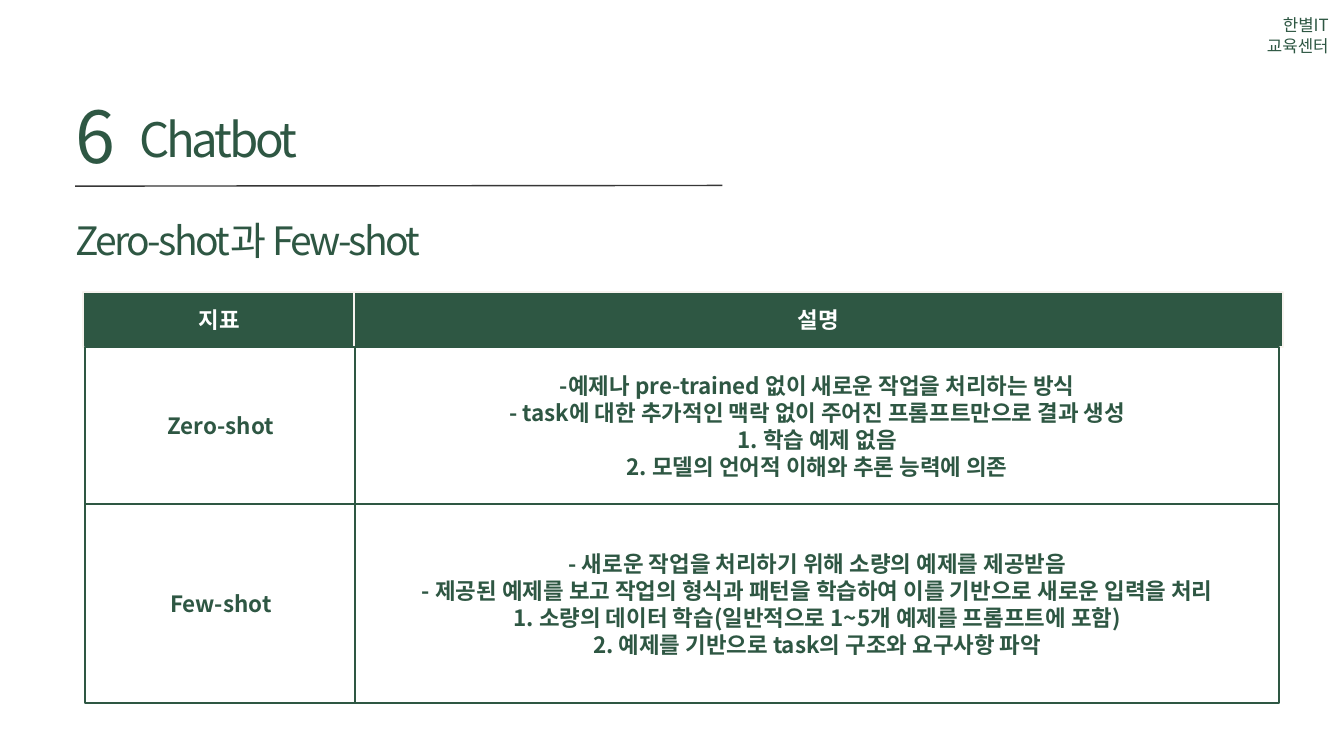
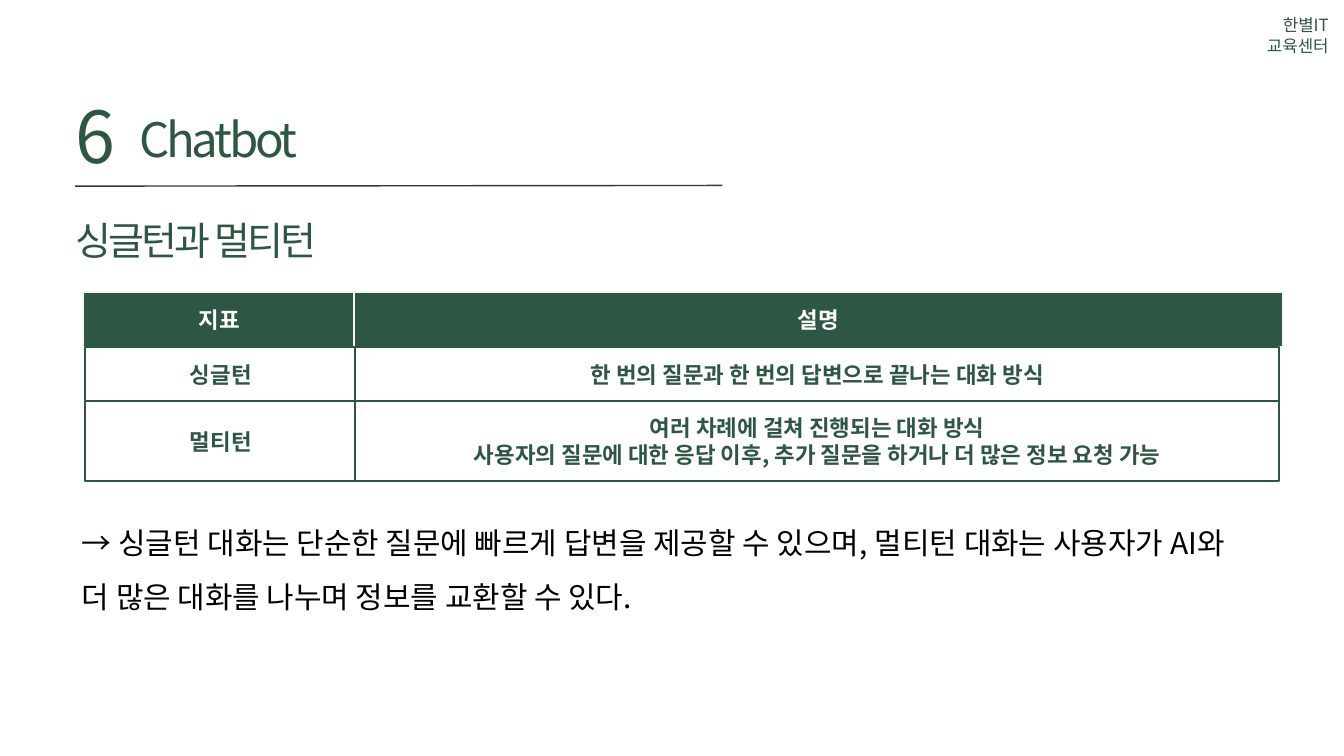
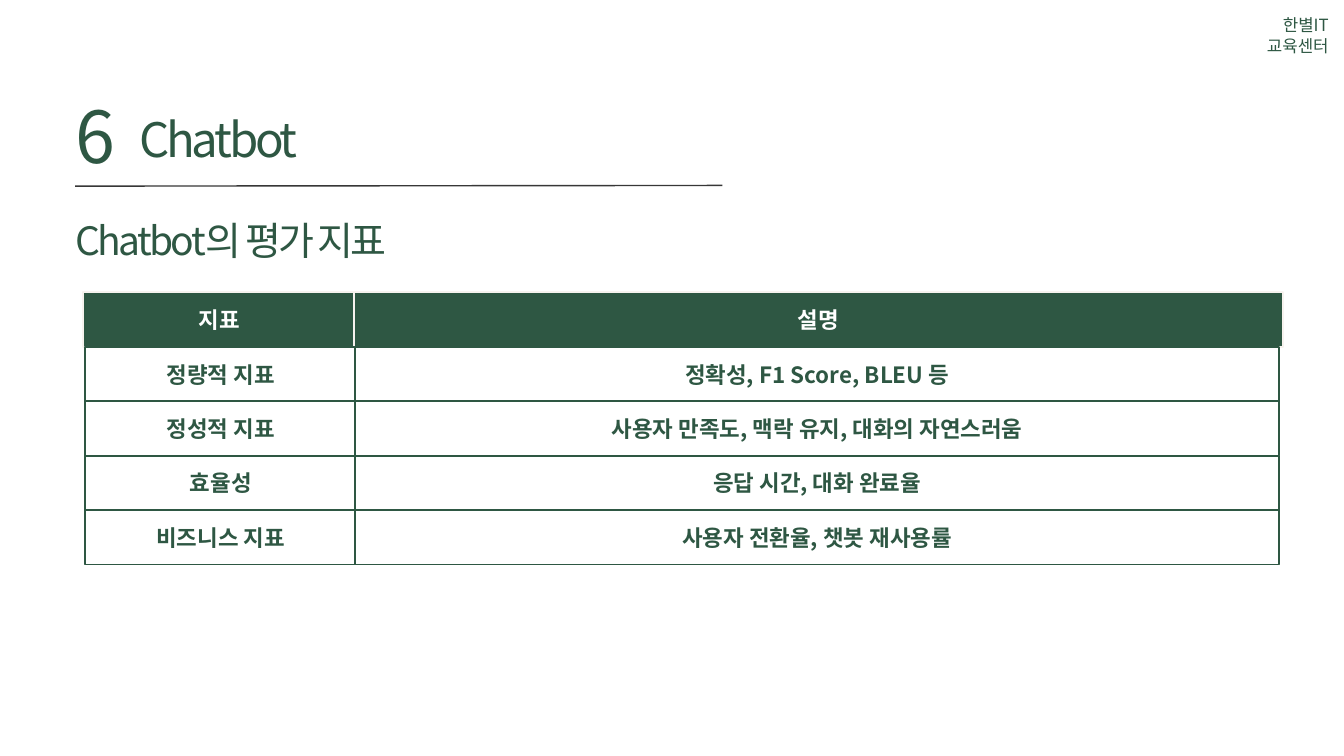
"""Builds three chatbot lesson slides, each with a heading and a two-column grid."""

from lxml import etree
from pptx import Presentation
from pptx.dml.color import RGBColor
from pptx.enum.shapes import MSO_CONNECTOR, MSO_SHAPE
from pptx.enum.text import MSO_ANCHOR, MSO_AUTO_SIZE, PP_ALIGN
from pptx.oxml.ns import qn
from pptx.util import Inches, Pt

STRAIGHT = MSO_CONNECTOR.STRAIGHT
RECTANGLE = MSO_SHAPE.RECTANGLE
MIDDLE = MSO_ANCHOR.MIDDLE
GROW = MSO_AUTO_SIZE.SHAPE_TO_FIT_TEXT
LEFT, CENTER, RIGHT = PP_ALIGN.LEFT, PP_ALIGN.CENTER, PP_ALIGN.RIGHT

GREEN = RGBColor(0x2E, 0x57, 0x43)
CREAM = RGBColor(0xF7, 0xF3, 0xEF)
GRAY = RGBColor(0x37, 0x37, 0x37)
WHITE = RGBColor(0xFF, 0xFF, 0xFF)
BLACK = RGBColor(0x00, 0x00, 0x00)
FONT = "Noto Sans CJK KR"

WIDTH, HEIGHT = Inches(20), Inches(11.25)
COLUMN, ROW = WIDTH / 100, HEIGHT / 100
MARGIN = 5.6
GRID_TOP = 38.67
LINE_ROWS = 7.2
HEADER_COLUMNS = ((6.2, 20.25), (26.35, 69.1))
BODY_COLUMNS = ((6.35, 20.15), (26.4, 68.8))

HEADINGS = [
    ("Chatbot", (10.35, 13.33, 34.45, 8.8), 50.8, 71.1, -3.4),
    ("6", (MARGIN, 10.31, 3.95, 13.24), 76.8, 107.5, -5.1),
]
GRID_HEADER = (LINE_ROWS, "지표", "설명")
LESSONS = [
    ("Zero-shot과 Few-shot", [
        (20.85, "Zero-shot",
         "-예제나 pre-trained 없이 새로운 작업을 처리하는 방식\n"
         "- task에 대한 추가적인 맥락 없이 주어진 프롬프트만으로 결과 생성\n"
         "1. 학습 예제 없음\n"
         "2. 모델의 언어적 이해와 추론 능력에 의존"),
        (26.31, "Few-shot",
         "- 새로운 작업을 처리하기 위해 소량의 예제를 제공받음\n"
         "- 제공된 예제를 보고 작업의 형식과 패턴을 학습하여 이를 기반으로 새로운 입력을 처리\n"
         "1. 소량의 데이터 학습(일반적으로 1~5개 예제를 프롬프트에 포함)\n"
         "2. 예제를 기반으로 task의 구조와 요구사항 파악"),
    ], ""),
    ("싱글턴과 멀티턴", [
        (LINE_ROWS, "싱글턴", "한 번의 질문과 한 번의 답변으로 끝나는 대화 방식"),
        (10.58, "멀티턴",
         "여러 차례에 걸쳐 진행되는 대화 방식\n"
         "사용자의 질문에 대한 응답 이후, 추가 질문을 하거나 더 많은 정보 요청 가능"),
    ], "→ 싱글턴 대화는 단순한 질문에 빠르게 답변을 제공할 수 있으며, "
       "멀티턴 대화는 사용자가 AI와 더 많은 대화를 나누며 정보를 교환할 수 있다."),
    ("Chatbot의 평가 지표", [
        (LINE_ROWS, "정량적 지표", "정확성, F1 Score, BLEU 등"),
        (LINE_ROWS, "정성적 지표", "사용자 만족도, 맥락 유지, 대화의 자연스러움"),
        (LINE_ROWS, "효율성", "응답 시간, 대화 완료율"),
        (LINE_ROWS, "비즈니스 지표", "사용자 전환율, 챗봇 재사용률"),
    ], ""),
]


def write(frame, text, size, color, align=LEFT, bold=False, spacing=None, tracking=0):
    """Fill a text frame and format its paragraphs and runs."""
    frame.text = text
    frame.word_wrap = True
    for para in frame.paragraphs:
        para.alignment = align
        para.line_spacing = spacing
        for span in para.runs:
            span.font.size = Pt(size)
            span.font.name = FONT
            span.font.bold = bold
            span.font.color.rgb = color
            properties = span.font._element
            etree.SubElement(properties, qn("a:ea"), typeface=FONT)
            if tracking:
                properties.set("spc", str(round(tracking * 100)))


def add_text(page, area, inset=True):
    """Add a text box placed in grid units and return its text frame."""
    left, top, width, height = area
    box = page.shapes.add_textbox(round(left * COLUMN), round(top * ROW),
                                  round(width * COLUMN), round(height * ROW))
    frame = box.text_frame
    frame.auto_size = GROW
    if not inset:
        frame.margin_left = frame.margin_right = 0
        frame.margin_top = frame.margin_bottom = 0
    return frame


deck = Presentation()
deck.slide_width, deck.slide_height = WIDTH, HEIGHT

for subtitle, body_rows, summary in LESSONS:
    page = deck.slides.add_slide(deck.slide_layouts[6])
    center_name = add_text(page, (89.75, 1.33, 9.6, 3.56))
    center_name.margin_left = round(3.5 * COLUMN)
    write(center_name, "한별IT교육센터", 18, GREEN, RIGHT, spacing=Pt(23))

    rule = page.shapes.add_connector(STRAIGHT, round(MARGIN * COLUMN), round(24.62 * ROW),
                                     round(53.75 * COLUMN), round(24.53 * ROW))
    rule.line.color.rgb = GRAY
    rule.line.width = Pt(1.5)
    etree.SubElement(rule._element.spPr, qn("a:effectLst"))

    subheading = (subtitle, (MARGIN, 27.56, 48.15, 7.11), 41.8, 58.5, -2.8)
    for text, area, size, spacing, tracking in [*HEADINGS, subheading]:
        write(add_text(page, area, inset=False), text, size, GREEN,
              spacing=Pt(spacing), tracking=tracking)

    top = GRID_TOP
    for row in [GRID_HEADER, *body_rows]:
        height, *texts = row
        if row is GRID_HEADER:
            columns, fill, border, ink = HEADER_COLUMNS, GREEN, CREAM, WHITE
        else:
            columns, fill, border, ink = BODY_COLUMNS, WHITE, GREEN, GREEN
        for (left, width), text in zip(columns, texts):
            box = page.shapes.add_shape(RECTANGLE, round(left * COLUMN), round(top * ROW),
                                        round(width * COLUMN), round(height * ROW))
            box.shadow.inherit = False
            box.fill.solid()
            box.fill.fore_color.rgb = fill
            box.line.color.rgb = border
            box.line.width = Pt(2)
            box.text_frame.vertical_anchor = MIDDLE
            write(box.text_frame, text, 24, ink, CENTER, bold=True, spacing=Pt(28.9))
        top += height

    if summary:
        write(add_text(page, (MARGIN, 66.58, 87.9, 15.11)), summary, 32, BLACK, spacing=1.5)

deck.save("out.pptx")
